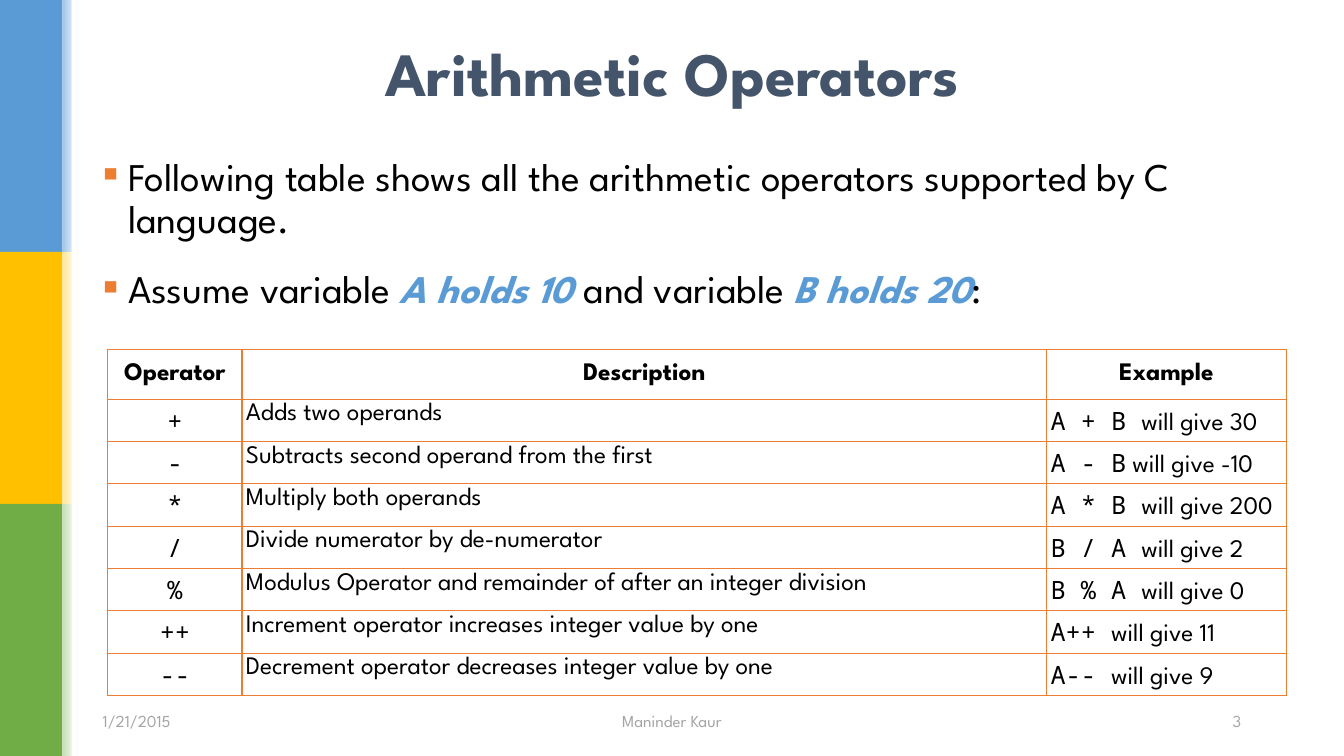
from dataclasses import dataclass

from lxml.etree import SubElement
from pptx import Presentation
from pptx.dml.color import RGBColor
from pptx.enum.shapes import MSO_SHAPE as SHAPE
from pptx.enum.text import MSO_ANCHOR as ANCHOR, MSO_AUTO_SIZE as AUTO, PP_ALIGN as ALIGN
from pptx.oxml.ns import qn
from pptx.util import Inches, Pt

COLORS = {
    "blue": "5B9BD5", "yellow": "FFC000", "green": "70AD47",
    "pale_blue": "9DC3E6", "pale_yellow": "FFE699", "pale_green": "C5E0B4",
    "white": "FFFFFF", "black": "000000", "slate": "44546A",
    "orange": "ED7D31", "gray": "A5A5A5",
}
SANS, MONO = "League Spartan", "Noto Sans Mono"


@dataclass
class Band:
    color: str
    pale: str


@dataclass
class Operator:
    symbol: str
    description: str
    code: str
    result: str


@dataclass
class Footer:
    text: str
    left: float
    width: float
    align: ALIGN


BANDS = [Band("blue", "pale_blue"), Band("yellow", "pale_yellow"), Band("green", "pale_green")]
BULLETS = [
    [("Following table shows all the arithmetic operators supported by C language.", False)],
    [("Assume variable ", False), ("A holds 10 ", True), ("and variable ", False),
     ("B holds 20", True), (":", False)],
]
HEADERS = ["Operator", "Description", "Example"]
OPERATORS = [
    Operator("+", "Adds two operands", "A + B ", "will give 30"),
    Operator("-", "Subtracts second operand from the first", "A - B", " will give -10"),
    Operator("*", "Multiply both operands", "A * B ", "will give 200"),
    Operator("/", "Divide numerator by de-numerator", "B / A ", "will give 2"),
    Operator("%", "Modulus Operator and remainder of after an integer division",
             "B % A ", "will give 0"),
    Operator("++", "Increment operator increases integer value by one", "A++ ", "will give 11"),
    Operator("--", "Decrement operator decreases integer value by one", "A-- ", "will give 9"),
]
COL_WIDTHS = [1.33, 7.98, 2.38]
HEADER_HEIGHT, ROW_HEIGHT = 0.49, 0.42
FOOTERS = [
    Footer("1/21/2015", 0.92, 3.58, ALIGN.LEFT),
    Footer("Maninder Kaur", 5.08, 3.17, ALIGN.CENTER),
    Footer("3", 8.83, 3.58, ALIGN.RIGHT),
]


def rgb(name: str) -> RGBColor:
    return RGBColor.from_string(COLORS[name])


def add_run(p, text: str, size: float, color: str = "black", **fmt) -> None:
    r = p.add_run()
    r.text = text
    r.font.color.rgb = rgb(color)
    for key, value in {"name": SANS, "size": Pt(size), **fmt}.items():
        setattr(r.font, key, value)


def place(sp, left: float, top: float, width: float, height: float) -> None:
    box = {"left": left, "top": top, "width": width, "height": height}
    for key, value in box.items():
        setattr(sp, key, Inches(value))


def format_frame(tf, anchor: ANCHOR) -> None:
    fmt = {"word_wrap": True, "auto_size": AUTO.NONE, "vertical_anchor": anchor}
    for key, value in fmt.items():
        setattr(tf, key, value)


def add_bar(slide, left: float, top: float, width: float, height: float,
            color: str, fade: bool = False) -> None:
    sp = slide.shapes.add_shape(SHAPE.RECTANGLE, *map(Inches, (left, top, width, height)))
    sp.shadow.inherit = False
    sp.line.fill.background()
    if fade:
        sp.fill.gradient()
        sp.fill.gradient_angle = 0
        for stop, name in zip(sp.fill.gradient_stops, (color, "white")):
            stop.color.rgb = rgb(name)
    else:
        sp.fill.solid()
        sp.fill.fore_color.rgb = rgb(color)


def set_bullet(p) -> None:
    pPr = p._p.get_or_add_pPr()
    pPr.set("marL", str(Inches(0.25)))
    pPr.set("indent", str(-Inches(0.25)))
    SubElement(SubElement(pPr, qn("a:buClr")), qn("a:srgbClr"), val=COLORS["orange"])
    SubElement(pPr, qn("a:buFont"), typeface=SANS)
    SubElement(pPr, qn("a:buChar"), char="▪")


def format_cell(cell, anchor: ANCHOR) -> None:
    cell.vertical_anchor = anchor
    for side in ("left", "right", "top", "bottom"):
        setattr(cell, f"margin_{side}", Inches(0.04))
    tcPr = cell._tc.get_or_add_tcPr()
    for tag in ("a:lnL", "a:lnR", "a:lnT", "a:lnB"):
        ln = SubElement(tcPr, qn(tag), w=str(Pt(1)))
        SubElement(SubElement(ln, qn("a:solidFill")), qn("a:srgbClr"), val=COLORS["orange"])
    cell.fill.background()


def add_operator_table(slide) -> None:
    height = HEADER_HEIGHT + ROW_HEIGHT * len(OPERATORS)
    frame = slide.shapes.add_table(
        len(OPERATORS) + 1, len(HEADERS), Inches(1.07), Inches(3.47),
        Inches(sum(COL_WIDTHS)), Inches(height))
    table = frame.table
    table.first_row = table.horz_banding = False
    for col, width in zip(table.columns, COL_WIDTHS):
        col.width = Inches(width)
    for i, row in enumerate(table.rows):
        row.height = Inches(ROW_HEIGHT if i else HEADER_HEIGHT)

    # Each cell is a list of (text, font) runs
    rows = [[[(text, SANS)] for text in HEADERS]]
    rows += [[[(op.symbol, MONO)], [(op.description, SANS)],
              [(op.code, MONO), (op.result, SANS)]] for op in OPERATORS]
    for i, cells in enumerate(rows):
        for j, runs in enumerate(cells):
            cell = table.cell(i, j)
            format_cell(cell, ANCHOR.TOP if i else ANCHOR.MIDDLE)
            p = cell.text_frame.paragraphs[0]
            p.alignment = ALIGN.CENTER if i == 0 or j == 0 else ALIGN.LEFT
            for text, font in runs:
                add_run(p, text, 18, name=font, bold=i == 0)


def main() -> None:
    prs = Presentation()
    prs.slide_width, prs.slide_height = Inches(13.33), Inches(7.5)
    slide = prs.slides.add_slide(prs.slide_layouts[1])

    # Side bands with faded edges
    for i, band in enumerate(BANDS):
        add_bar(slide, 0, 2.5 * i, 0.62, 2.5, band.color)
        add_bar(slide, 0.62, 2.5 * i, 0.16, 2.5, band.pale, fade=True)
    add_bar(slide, 0.71, 0, 0.05, 7.5, "white")

    # Title
    title = slide.shapes.title
    place(title, 0.92, 0.17, 11.5, 1.09)
    format_frame(title.text_frame, ANCHOR.MIDDLE)
    p = title.text_frame.paragraphs[0]
    p.alignment = ALIGN.CENTER
    add_run(p, "Arithmetic Operators", 44, "slate", bold=True)

    # Bulleted introduction
    body = slide.placeholders[1]
    place(body, 0.92, 1.51, 11.5, 5.25)
    tf = body.text_frame
    format_frame(tf, ANCHOR.TOP)
    for i, runs in enumerate(BULLETS):
        p = tf.add_paragraph() if i else tf.paragraphs[0]
        set_bullet(p)
        spacing = {"line_spacing": 0.9, "space_before": Pt(8 if i else 0), "space_after": Pt(12)}
        for key, value in spacing.items():
            setattr(p, key, value)
        for text, strong in runs:
            add_run(p, text, 28, "blue" if strong else "black", bold=strong, italic=strong)

    add_operator_table(slide)

    # Footer line
    for footer in FOOTERS:
        sp = slide.shapes.add_textbox(*map(Inches, (footer.left, 6.95, footer.width, 0.4)))
        format_frame(sp.text_frame, ANCHOR.MIDDLE)
        p = sp.text_frame.paragraphs[0]
        p.alignment = footer.align
        add_run(p, footer.text, 12, "gray")

    prs.save("out.pptx")


if __name__ == "__main__":
    main()
